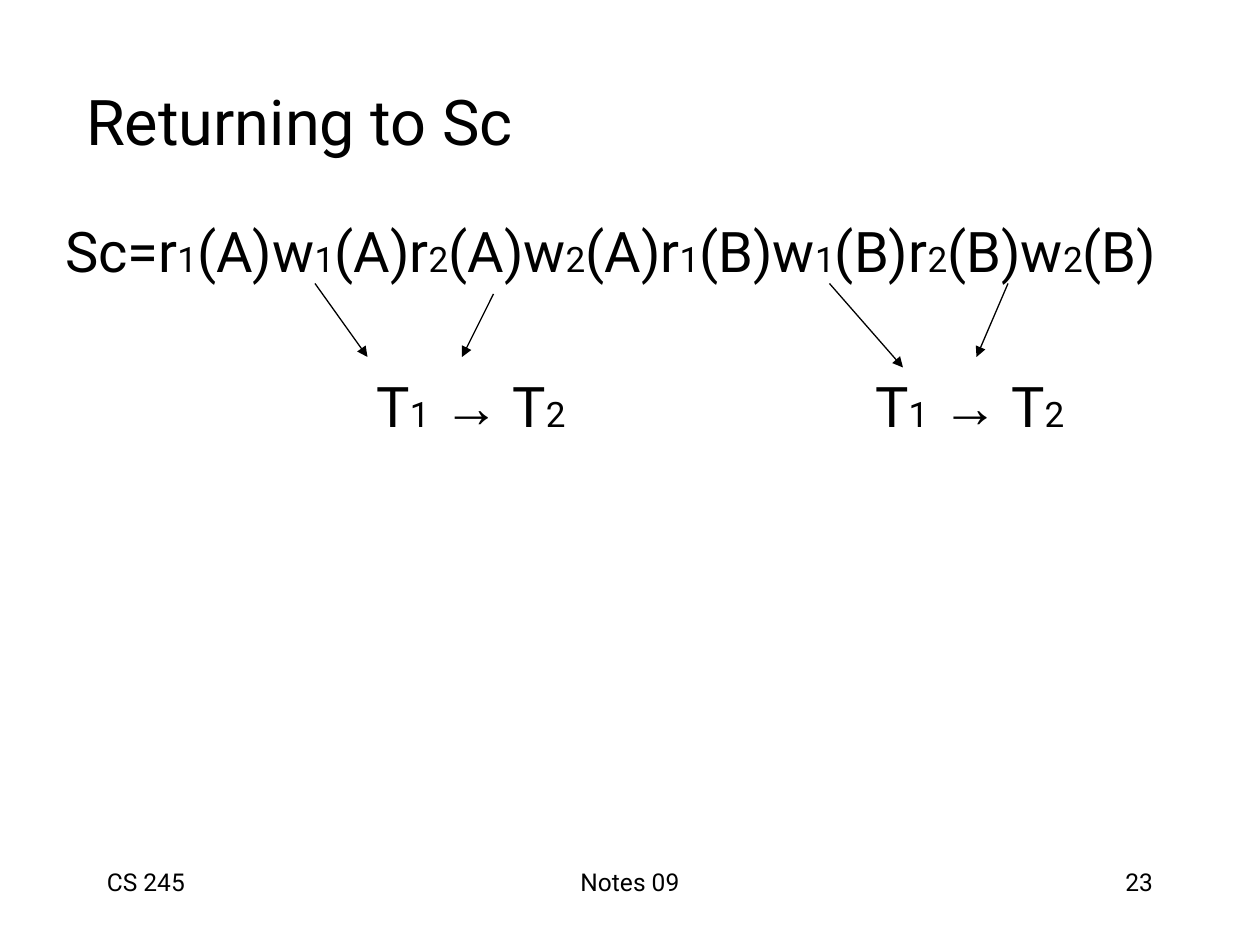
"""Build the slide that returns to schedule Sc and its precedence arrows."""
from dataclasses import dataclass
from itertools import groupby

from lxml.etree import SubElement
from pptx import Presentation
from pptx.dml.color import RGBColor
from pptx.enum.shapes import MSO_CONNECTOR as Connector
from pptx.enum.text import MSO_ANCHOR as Anchor, MSO_AUTO_SIZE as AutoSize, PP_ALIGN as Align
from pptx.oxml.ns import qn
from pptx.util import Pt


@dataclass(frozen=True)
class Theme:
    """Colours, fonts and type sizes."""
    ink: RGBColor = RGBColor(0, 0, 0)
    font: str = "Roboto"
    symbol_font: str = "Arial"
    title: float = 36
    body: float = 32
    subscript: float = 20
    footer: float = 14
    line: float = 0.75


@dataclass(frozen=True)
class Footer:
    """One text at the foot of the slide."""
    text: str
    left: float
    width: float
    align: Align


@dataclass(frozen=True)
class Arrow:
    """A line from an action to its transaction."""
    x1: float
    y1: float
    x2: float
    y2: float


THEME = Theme()
SCHEDULE = "Sc=r1(A)w1(A)r2(A)w2(A)r1(B)w1(B)r2(B)w2(B)"
PRECEDENCE = "T1 → T2"
PRECEDENCE_LEFTS = (208, 493)
PRECEDENCE_TOP, PRECEDENCE_WIDTH, PRECEDENCE_HEIGHT = 209, 140, 46
FOOTER_TOP, FOOTER_HEIGHT = 492, 36
FOOTERS = (
    Footer("CS 245", 54, 150, Align.LEFT),
    Footer("Notes 09", 246, 228, Align.CENTER),
    Footer("23", 516, 150, Align.RIGHT),
)
ARROWS = (
    Arrow(180, 162, 210, 204),
    Arrow(282, 168, 264, 204),
    Arrow(474, 162, 516, 210),
    Arrow(576, 162, 558, 204),
)


def place(s, left: float, top: float, width: float, height: float) -> None:
    """Set the position and size of a shape."""
    s.left, s.top, s.width, s.height = Pt(left), Pt(top), Pt(width), Pt(height)


def add_run(p, text: str, size: float, font: str = THEME.font) -> None:
    """Append one formatted run."""
    r = p.add_run()
    r.text = text
    r.font.size, r.font.name = Pt(size), font
    r.font.color.rgb = THEME.ink


def char_style(char: str) -> tuple[float, str]:
    """Return the size and font of a character in a formula."""
    size = THEME.subscript if char.isdigit() else THEME.body
    return size, THEME.symbol_font if char == "→" else THEME.font


def add_formula(p, text: str) -> None:
    """Append a formula with its digits set as small subscripts."""
    for (size, font), chars in groupby(text, char_style):
        add_run(p, "".join(chars), size, font)


def fill_title(s) -> None:
    """Place and write the title."""
    place(s, 42, 24, 612, 90)
    tf = s.text_frame
    tf.auto_size, tf.vertical_anchor = AutoSize.NONE, Anchor.MIDDLE
    p = tf.paragraphs[0]
    p.alignment = Align.LEFT
    add_run(p, "Returning to Sc", THEME.title)


def fill_body(s) -> None:
    """Place and write the schedule without bullet or indent."""
    place(s, 30, 120, 666, 156)
    tf = s.text_frame
    tf.auto_size, tf.vertical_anchor = AutoSize.NONE, Anchor.TOP
    p = tf.paragraphs[0]
    pPr = p._p.get_or_add_pPr()
    pPr.set("marL", "0")
    pPr.set("indent", "0")
    SubElement(pPr, qn("a:buNone"))
    p.space_before = Pt(0)
    add_formula(p, SCHEDULE)


def add_text_line(slide, left: float, top: float, width: float, height: float):
    """Add a wrapping text box and return its paragraph."""
    s = slide.shapes.add_textbox(Pt(left), Pt(top), Pt(width), Pt(height))
    s.text_frame.word_wrap = True
    return s.text_frame.paragraphs[0]


def add_precedence(slide, left: float) -> None:
    """Draw one precedence label below its pair of arrows."""
    p = add_text_line(slide, left, PRECEDENCE_TOP, PRECEDENCE_WIDTH, PRECEDENCE_HEIGHT)
    add_formula(p, PRECEDENCE)


def add_footer(slide, footer: Footer) -> None:
    """Draw one footer text."""
    p = add_text_line(slide, footer.left, FOOTER_TOP, footer.width, FOOTER_HEIGHT)
    p.alignment = footer.align
    add_run(p, footer.text, THEME.footer)


def add_arrow(slide, arrow: Arrow) -> None:
    """Draw one arrow with a triangular head."""
    s = slide.shapes.add_connector(
        Connector.STRAIGHT, Pt(arrow.x1), Pt(arrow.y1), Pt(arrow.x2), Pt(arrow.y2))
    s.line.color.rgb, s.line.width = THEME.ink, Pt(THEME.line)
    SubElement(s.line._get_or_add_ln(), qn("a:tailEnd"), type="triangle")
    SubElement(s._element.spPr, qn("a:effectLst"))


def main() -> None:
    """Build and save the slide."""
    prs = Presentation()
    prs.slide_width, prs.slide_height = Pt(720), Pt(540)
    slide = prs.slides.add_slide(prs.slide_layouts[1])
    fill_title(slide.shapes.title)
    fill_body(slide.placeholders[1])
    for left in PRECEDENCE_LEFTS:
        add_precedence(slide, left)
    for footer in FOOTERS:
        add_footer(slide, footer)
    for arrow in ARROWS:
        add_arrow(slide, arrow)
    prs.save("out.pptx")


if __name__ == "__main__":
    main()
